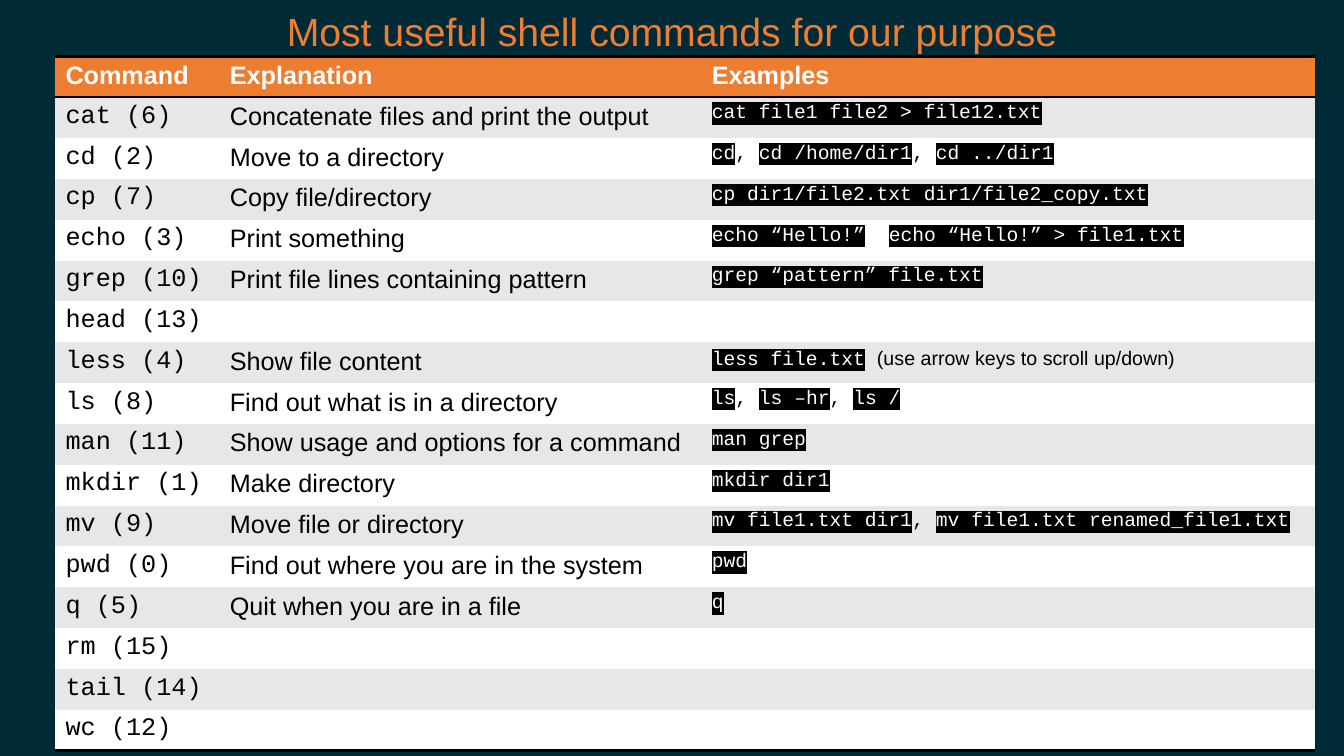
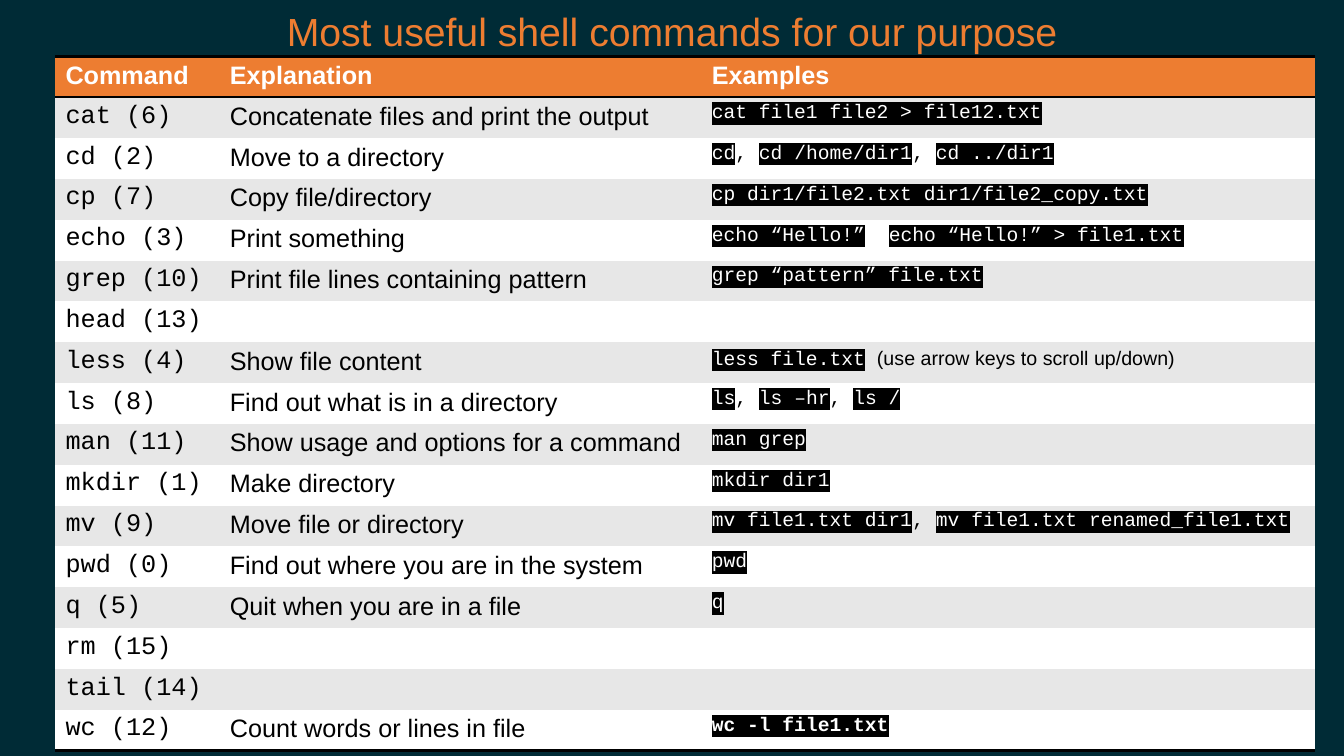
from dataclasses import dataclass, replace

from lxml.etree import SubElement
from pptx import Presentation
from pptx.dml.color import RGBColor
from pptx.enum.text import PP_ALIGN
from pptx.oxml import parse_xml
from pptx.oxml.ns import nsdecls, qn
from pptx.slide import Slide
from pptx.table import Table, _Cell
from pptx.util import Inches, Pt

NAVY = RGBColor(0x00, 0x2B, 0x36)
ORANGE = RGBColor(0xED, 0x7D, 0x31)
GRAY = RGBColor(0xE7, 0xE7, 0xE7)
BLACK = RGBColor(0x00, 0x00, 0x00)
WHITE = RGBColor(0xFF, 0xFF, 0xFF)

SANS = "Arial"
MONO = "Courier New"
PLAIN_TABLE_STYLE = "{2D5ABB26-0587-4C30-8999-92F81FD0307C}"

TITLE = "Most useful shell commands for our purpose"
HEADERS = ("Command", "Explanation", "Examples")
COLUMN_WIDTHS = (Inches(1.63), Inches(4.78), Inches(6.08))
TABLE_HEIGHT = Inches(6.89)


@dataclass(frozen=True)
class Span:
    text: str
    size: int = 18
    font: str = SANS
    color: RGBColor = BLACK
    bold: bool = False
    highlight: RGBColor | None = None


@dataclass(frozen=True)
class Command:
    name: str
    explanation: str = ""
    examples: tuple[str, ...] = ()
    note: str = ""
    separator_color: RGBColor = BLACK
    bold: bool = False

    def example_spans(self) -> list[Span]:
        spans = []
        for i, example in enumerate(self.examples):
            if i:
                spans.append(Span(", ", 14, MONO, self.separator_color))
            spans.append(Span(example, 14, MONO, WHITE, self.bold, BLACK))
        if self.note:
            spans += [Span(" ", 14, MONO), Span(self.note, 14)]
        return spans


COMMANDS = [
    Command("cat (6)", "Concatenate files and print the output",
            ("cat file1 file2 > file12.txt",)),
    Command("cd (2)", "Move to a directory", ("cd", "cd /home/dir1", "cd ../dir1")),
    Command("cp (7)", "Copy file/directory", ("cp dir1/file2.txt dir1/file2_copy.txt",)),
    Command("echo (3)", "Print something",
            ("echo “Hello!”", "echo “Hello!” > file1.txt"), separator_color=WHITE),
    Command("grep (10)", "Print file lines containing pattern",
            ("grep “pattern” file.txt",)),
    Command("head (13)"),
    Command("less (4)", "Show file content", ("less file.txt",),
            "(use arrow keys to scroll up/down)"),
    Command("ls (8)", "Find out what is in a directory", ("ls", "ls –hr", "ls /")),
    Command("man (11)", "Show usage and options for a command", ("man grep",)),
    Command("mkdir (1)", "Make directory", ("mkdir dir1",)),
    Command("mv (9)", "Move file or directory",
            ("mv file1.txt dir1", "mv file1.txt renamed_file1.txt")),
    Command("pwd (0)", "Find out where you are in the system", ("pwd",)),
    Command("q (5)", "Quit when you are in a file", ("q",)),
    Command("rm (15)"),
    Command("tail (14)"),
    Command("wc (12)"),
]
WC_EXPLAINED = replace(COMMANDS[-1], explanation="Count words or lines in file",
                       examples=("wc -l file1.txt",), bold=True)


def add_span(p, span: Span) -> None:
    r = p.add_run()
    r.text = span.text
    r.font.size = Pt(span.size)
    r.font.name = span.font
    r.font.bold = span.bold
    r.font.color.rgb = span.color
    if span.highlight is not None:
        highlight = parse_xml(
            f'<a:highlight {nsdecls("a")}><a:srgbClr val="{span.highlight}"/></a:highlight>')
        r.font._element.find(qn("a:solidFill")).addnext(highlight)


def fill_cell(cell: _Cell, spans: list[Span], color: RGBColor) -> None:
    cell.fill.solid()
    cell.fill.fore_color.rgb = color
    for span in spans:
        if span.text:
            add_span(cell.text_frame.paragraphs[0], span)


def add_borders(cell: _Cell, *edges: str) -> None:
    tc_pr = cell._tc.get_or_add_tcPr()
    for i, edge in enumerate(edges):
        line = SubElement(tc_pr, qn(f"a:{edge}"), w=str(Pt(2)))
        fill = SubElement(line, qn("a:solidFill"))
        SubElement(fill, qn("a:srgbClr"), val=str(BLACK))
        tc_pr.insert(i, line)


def add_title(s: Slide, width: int) -> None:
    sp = s.shapes.add_textbox(0, Inches(0.02), width, Inches(0.57))
    tf = sp.text_frame
    tf.word_wrap = True
    p = tf.paragraphs[0]
    p.alignment = PP_ALIGN.CENTER
    add_span(p, Span(TITLE, 28, color=ORANGE))


def add_command_table(s: Slide, commands: list[Command]) -> Table:
    row_count = len(commands) + 1
    frame = s.shapes.add_table(row_count, len(HEADERS), Inches(0.55), Inches(0.56),
                               sum(COLUMN_WIDTHS), TABLE_HEIGHT)
    table = frame.table
    table.horz_banding = False
    table._tbl.tblPr.find(qn("a:tableStyleId")).text = PLAIN_TABLE_STYLE
    for column, width in zip(table.columns, COLUMN_WIDTHS):
        column.width = width
    for row in table.rows:
        row.height = TABLE_HEIGHT // row_count

    for cell, header in zip(table.rows[0].cells, HEADERS):
        fill_cell(cell, [Span(header, color=WHITE, bold=True)], ORANGE)
        add_borders(cell, "lnT", "lnB")
    for i, command in enumerate(commands):
        contents = ([Span(command.name, font=MONO)], [Span(command.explanation)],
                    command.example_spans())
        for cell, spans in zip(table.rows[i + 1].cells, contents):
            fill_cell(cell, spans, WHITE if i % 2 else GRAY)
    for cell in table.rows[row_count - 1].cells:
        add_borders(cell, "lnB")
    return table


def main() -> None:
    prs = Presentation()
    prs.slide_width, prs.slide_height = Inches(13.33), Inches(7.5)
    for commands in (COMMANDS, COMMANDS[:-1] + [WC_EXPLAINED]):
        s = prs.slides.add_slide(prs.slide_layouts[6])
        s.background.fill.solid()
        s.background.fill.fore_color.rgb = NAVY
        add_title(s, prs.slide_width)
        add_command_table(s, commands)
    prs.save("out.pptx")


if __name__ == "__main__":
    main()
